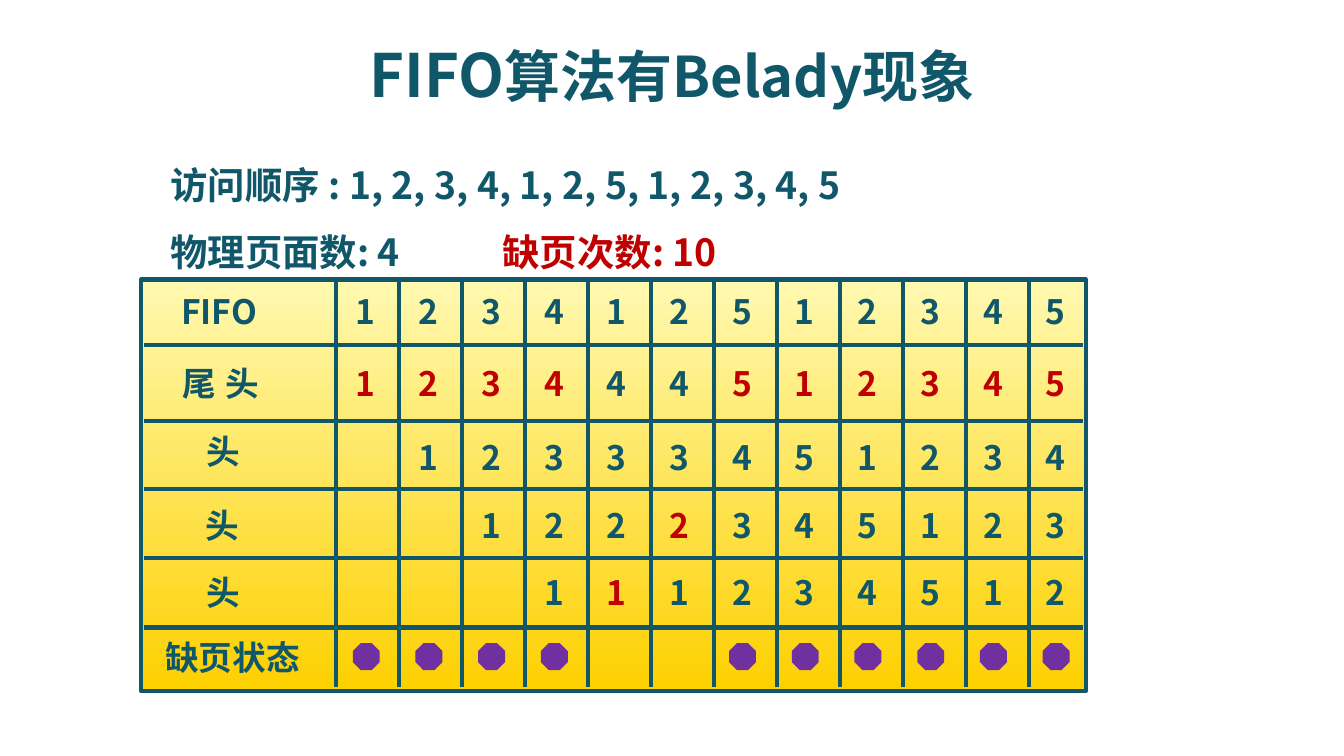
from lxml.etree import SubElement
from pptx import Presentation
from pptx.dml.color import RGBColor
from pptx.enum.shapes import MSO_CONNECTOR, MSO_SHAPE
from pptx.enum.text import MSO_AUTO_SIZE, PP_ALIGN
from pptx.oxml.ns import qn
from pptx.util import Pt

COLORS = {"ink": "11576A", "red": "C00000", "dot": "7030A0", "top": "FFF9B1", "bottom": "FDD000"}
REFERENCES = [1, 2, 3, 4, 1, 2, 5, 1, 2, 3, 4, 5]
FRAMES = 4
PITCH = 33.6
ROW_TOPS = [152.6, 190.8, 230.4, 267.1, 303.1]
ROW_LINES = [185, 225.4, 262.1, 298.8, 336.2]


def rgb(name):
    return RGBColor.from_string(COLORS[name])


class Deck:
    font = "Noto Sans CJK SC"
    line_width = 2.25

    def __init__(self, s):
        self.s = s

    def shape(self, kind, x, y, w, h):
        sp = self.s.shapes.add_shape(kind, Pt(x), Pt(y), Pt(w), Pt(h))
        sp.shadow.inherit = False
        return sp

    def panel(self, x, y, w, h):
        sp = self.shape(MSO_SHAPE.RECTANGLE, x, y, w, h)
        sp.fill.gradient()
        sp.fill.gradient_angle = 270
        for stop, name in zip(sp.fill.gradient_stops, ("top", "bottom")):
            stop.color.rgb = rgb(name)
        sp.line.color.rgb = rgb("ink")
        sp.line.width = Pt(self.line_width)

    def dot(self, x, y, size=14.4):
        sp = self.shape(MSO_SHAPE.OCTAGON, x, y, size, size)
        sp.fill.solid()
        sp.fill.fore_color.rgb = rgb("dot")
        sp.line.fill.background()

    def rule(self, x1, y1, x2, y2):
        c = self.s.shapes.add_connector(MSO_CONNECTOR.STRAIGHT, Pt(x1), Pt(y1), Pt(x2), Pt(y2))
        c.line.color.rgb = rgb("ink")
        c.line.width = Pt(self.line_width)
        SubElement(c._element.spPr, qn("a:effectLst"))

    def text(self, x, y, w, h, runs, color="ink", align=PP_ALIGN.LEFT, spacing=0):
        tf = self.s.shapes.add_textbox(Pt(x), Pt(y), Pt(w), Pt(h)).text_frame
        tf.word_wrap = True
        tf.auto_size = MSO_AUTO_SIZE.SHAPE_TO_FIT_TEXT
        p = tf.paragraphs[0]
        p.alignment = align
        for words, size in runs:
            r = p.add_run()
            r.text = words
            r.font.name = self.font
            r.font.size = Pt(size)
            r.font.bold = True
            r.font.color.rgb = rgb(color)
            rPr = r._r.get_or_add_rPr()
            SubElement(rPr, qn("a:ea")).set("typeface", self.font)
            if spacing:
                rPr.set("spc", str(spacing * 100))

    def label(self, x, y, w, words, **style):
        self.text(x, y, w, 28.8, [(words, 18)], **style)


def main():
    prs = Presentation()
    prs.slide_width, prs.slide_height = Pt(720), Pt(405)
    deck = Deck(prs.slides.add_slide(prs.slide_layouts[6]))

    deck.panel(75.6, 149.8, 506.2, 220.3)
    for y in ROW_LINES:
        deck.rule(77, y, 580.3, y)
    for i in range(len(REFERENCES)):
        x = 180 + 33.75 * i
        deck.rule(x, 151.2, x, 367.9)

    deck.text(0, 16.6, 720, 46, [("FIFO", 32), ("算法有Belady现象", 30)], align=PP_ALIGN.CENTER)
    order = ", ".join(str(page) for page in REFERENCES)
    deck.text(84.2, 83.5, 433.4, 31.7, [(f"访问顺序 : {order}", 20)])
    deck.text(84.2, 119.5, 208.8, 31.7, [(f"物理页面数: {FRAMES}", 20)])

    deck.label(90, ROW_TOPS[0], 76.3, "FIFO")
    deck.label(76, ROW_TOPS[1], 61.9, "尾", align=PP_ALIGN.CENTER)
    for x, y in zip((114, 103.7, 103, 103.7), (190.8, 227.5, 267.1, 303.1)):
        deck.label(x, y, 61.9, "头", spacing=-1)
    deck.label(76.3, 337.7, 96.5, "缺页状态", align=PP_ALIGN.CENTER)

    queue = []
    faults = 0
    for i, page in enumerate(REFERENCES):
        x = 183.6 + PITCH * i
        deck.label(x, ROW_TOPS[0], 25.9, str(page))
        if page not in queue:
            queue = [page, *queue][:FRAMES]
            faults += 1
            deck.dot(x + 5.4, 344.6)
        for y, held in zip(ROW_TOPS[1:], queue):
            deck.label(x, y, 25.9, str(held), color="red" if held == page else "ink")
    deck.text(262.1, 119.5, 177.1, 31.7, [(f"缺页次数: {faults}", 20)], color="red")

    prs.save("out.pptx")


if __name__ == "__main__":
    main()
